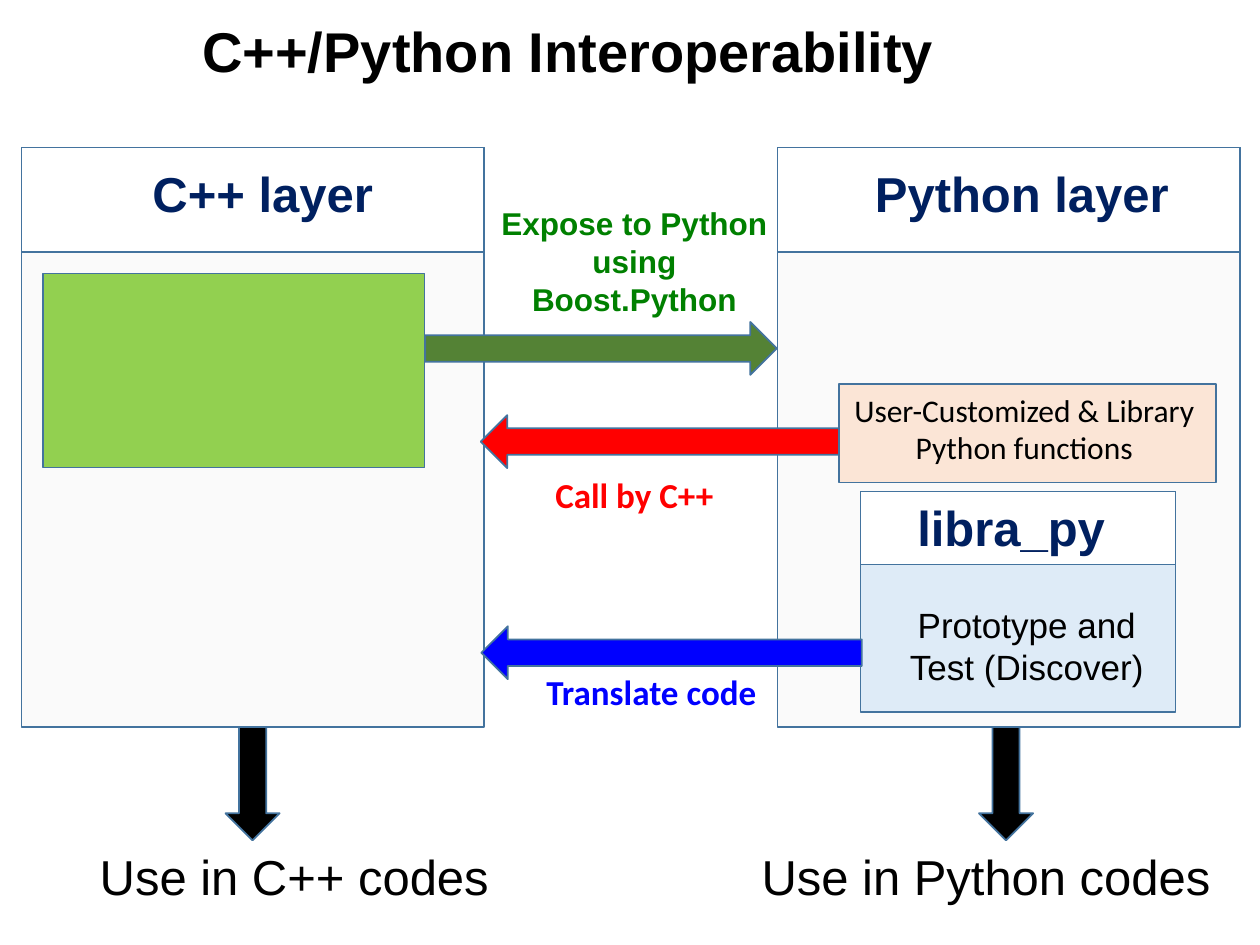
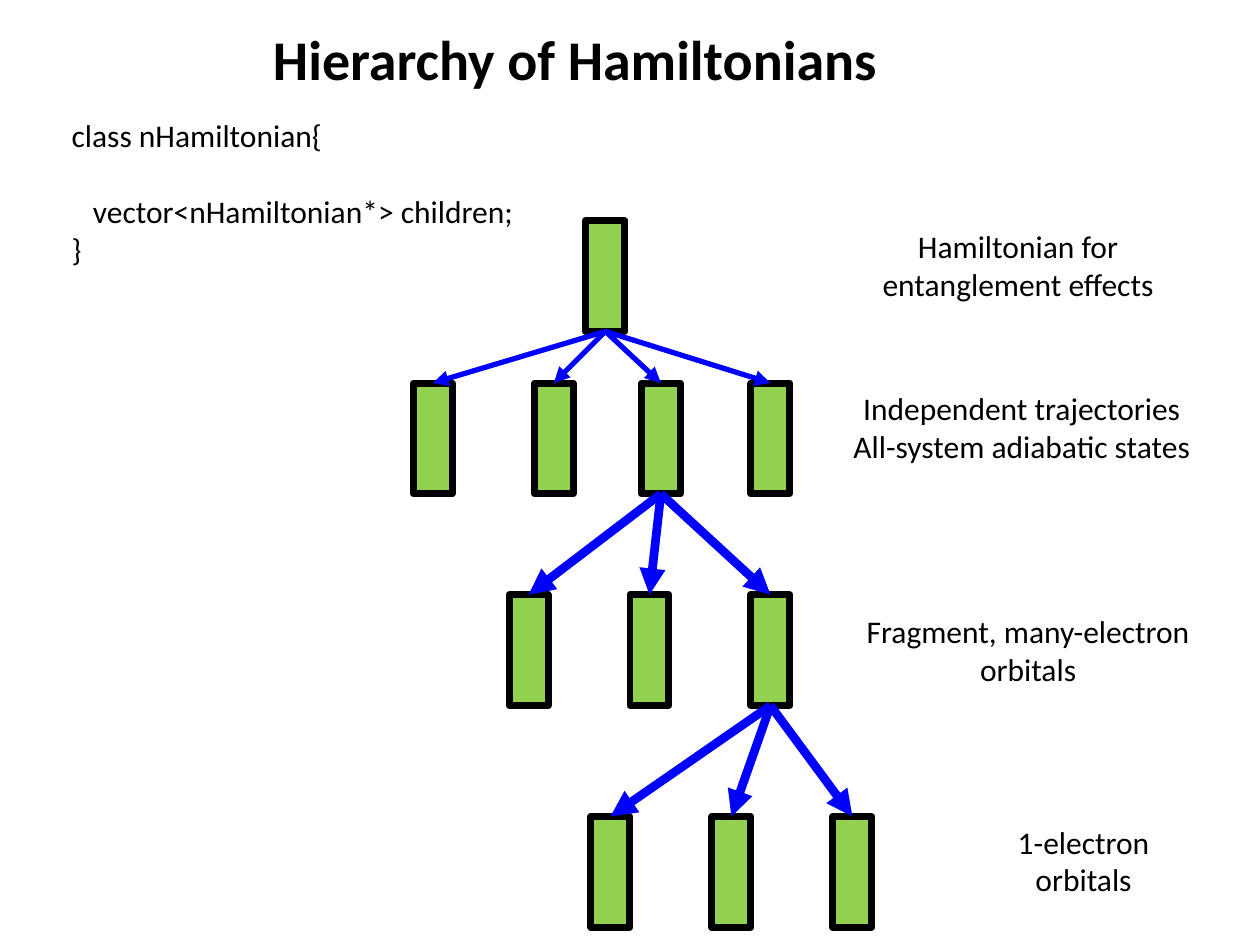
from lxml import etree
from pptx import Presentation
from pptx.dml.color import RGBColor
from pptx.enum.shapes import MSO_CONNECTOR, MSO_SHAPE
from pptx.enum.text import MSO_ANCHOR, MSO_AUTO_SIZE, PP_ALIGN
from pptx.oxml.ns import qn
from pptx.util import Inches, Pt

RECTANGLE, DOWN_ARROW = MSO_SHAPE.RECTANGLE, MSO_SHAPE.DOWN_ARROW
STRAIGHT = MSO_CONNECTOR.STRAIGHT
MIDDLE = MSO_ANCHOR.MIDDLE
FIXED, GROW = MSO_AUTO_SIZE.NONE, MSO_AUTO_SIZE.SHAPE_TO_FIT_TEXT
LEFT, CENTER = PP_ALIGN.LEFT, PP_ALIGN.CENTER
BOTTOM_SITE, TOP_SITE = 2, 0

COLORS = {
    "black": "000000", "white": "FFFFFF", "outline": "43739E",
    "panel": "FAFAFA", "navy": "002060", "lime": "92D050",
    "expose_text": "008000", "expose": "548235", "call": "FF0000",
    "translate": "0000FF", "prototype": "DEEBF7", "functions": "FBE5D6",
}

TITLE = {"size": Pt(32), "bold": True}
HEADING = {"name": "Arial", "size": Pt(28), "bold": True}
USAGE = {"name": "Arial", "size": Pt(28)}
EXPOSE = {"name": "Arial", "size": Pt(18), "bold": True}
PROTOTYPE = {"name": "Arial", "size": Pt(20)}
FLOW = {"name": "Calibri", "size": Pt(20), "bold": True}
BODY = {"name": "Calibri", "size": Pt(18)}

NODE_SIZE = (0.31, 0.88)


def rgb(color):
    return RGBColor.from_string(COLORS[color])


def inches(frame):
    return [Inches(length) for length in frame]


def write(text_frame, lines, style, color="black", align=CENTER):
    """Fill a text frame with one formatted paragraph per line."""
    for index, line in enumerate(lines):
        paragraph = text_frame.paragraphs[0] if index == 0 else text_frame.add_paragraph()
        paragraph.alignment = align
        run = paragraph.add_run()
        run.text = line
        for attribute, value in style.items():
            setattr(run.font, attribute, value)
        run.font.color.rgb = rgb(color)


def add_titled_slide(prs, title_text, frame, font_name):
    slide = prs.slides.add_slide(prs.slide_layouts[5])
    title = slide.shapes.title
    title.left, title.top, title.width, title.height = inches(frame)
    title.text_frame.auto_size = FIXED
    title.text_frame.vertical_anchor = MIDDLE
    write(title.text_frame, [title_text], {**TITLE, "name": font_name})
    return slide


def add_label(slide, frame, lines, style, color="black", align=CENTER):
    text_frame = slide.shapes.add_textbox(*inches(frame)).text_frame
    text_frame.word_wrap = False
    text_frame.auto_size = GROW
    write(text_frame, lines, style, color, align)
    return text_frame


def add_filled(slide, preset, frame, fill, line="outline", width=1, rotation=0):
    shape = slide.shapes.add_shape(preset, *inches(frame))
    shape.shadow.inherit = False
    shape.fill.solid()
    shape.fill.fore_color.rgb = rgb(fill)
    shape.line.color.rgb = rgb(line)
    shape.line.width = Pt(width)
    shape.rotation = rotation
    return shape


def add_panel(slide, frame, header_height, fill):
    """Draw a body box with a white header across its top."""
    left, top, width, _ = frame
    add_filled(slide, RECTANGLE, frame, fill)
    add_filled(slide, RECTANGLE, (left, top, width, header_height), "white")


def add_node(slide, left, top):
    return add_filled(slide, RECTANGLE, (left, top, *NODE_SIZE), "lime", "black", 4)


def add_branch(slide, parent, child, width):
    """Join a parent node to a child node with an arrow."""
    branch = slide.shapes.add_connector(STRAIGHT, 0, 0, 0, 0)
    branch.begin_connect(parent, BOTTOM_SITE)
    branch.end_connect(child, TOP_SITE)
    branch.line.color.rgb = rgb("translate")
    branch.line.width = Pt(width)
    tail = etree.SubElement(branch.line._get_or_add_ln(), qn("a:tailEnd"))
    tail.set("type", "triangle")
    etree.SubElement(branch._element.spPr, qn("a:effectLst"))


def build_interoperability(prs):
    slide = add_titled_slide(prs, "C++/Python Interoperability",
                             (1.48, 0.08, 6.06, 0.64), "Arial")
    for layer_left, arrow_left in ((0.17, 1.79), (6.17, 7.77)):
        add_panel(slide, (layer_left, 1.17, 3.67, 4.6), 0.83, "panel")
        add_filled(slide, DOWN_ARROW, (arrow_left, 5.77, 0.43, 0.9), "black")
    add_filled(slide, RECTANGLE, (0.34, 2.17, 3.03, 1.54), "lime")
    add_panel(slide, (6.83, 3.9, 2.5, 1.75), 0.58, "prototype")

    flows = [
        ((4.56, 1.37, 0.42, 2.79), "expose", 270),
        ((5.03, 2.08, 0.42, 2.85), "call", 90),
        ((5.12, 3.67, 0.42, 3.02), "translate", 90),
    ]
    for frame, color, rotation in flows:
        add_filled(slide, DOWN_ARROW, frame, color, rotation=rotation)
    add_filled(slide, RECTANGLE, (6.66, 3.05, 2.99, 0.78), "functions")

    labels = [
        ((0.92, 1.25, 2.33, 0.57), ["C++ layer"], HEADING, "navy"),
        ((6.83, 1.25, 2.56, 0.57), ["Python layer"], HEADING, "navy"),
        ((7.17, 3.9, 1.71, 0.57), ["libra_py"], HEADING, "navy"),
        ((0.67, 6.67, 3.33, 0.57), ["Use in C++ codes"], USAGE, "black"),
        ((5.92, 6.67, 3.81, 0.57), ["Use in Python codes"], USAGE, "black"),
        ((3.87, 1.57, 2.33, 1.01), ["Expose to Python", "using", "Boost.Python"],
         EXPOSE, "expose_text"),
        ((4.3, 3.71, 1.47, 0.44), ["Call by C++"], FLOW, "call"),
        ((4.23, 5.27, 1.88, 0.44), ["Translate code"], FLOW, "translate"),
        ((7.08, 4.74, 2.14, 0.77), ["Prototype and", "Test (Discover)"],
         PROTOTYPE, "black"),
        ((6.66, 3.05, 2.94, 0.71), ["User-Customized & Library", "Python functions"],
         BODY, "black"),
    ]
    for label in labels:
        add_label(slide, *label)


def build_hierarchy(prs):
    slide = add_titled_slide(prs, "Hierarchy of Hamiltonians",
                             (1.17, 0.14, 6.79, 0.64), "Calibri")
    code = add_label(slide, (0.47, 0.87, 3.75, 1.31),
                     ["class nHamiltonian{", "   vector<nHamiltonian*> children;", "}"],
                     BODY, align=LEFT)
    code.paragraphs[1].space_before = Pt(22)

    # Each level: top, node lefts, index of the node that branches, arrow width
    levels = [
        (3.04, [3.28, 4.24, 5.09, 5.96], 2, 3),
        (4.72, [4.04 + 0.96 * i for i in range(3)], 2, 5),
        (6.48, [4.69 + 0.96 * i for i in range(3)], 0, 5),
    ]
    parent = add_node(slide, 4.65, 1.75)
    for top, lefts, branching, width in levels:
        nodes = [add_node(slide, left, top) for left in lefts]
        for node in nodes:
            add_branch(slide, parent, node, width)
        parent = nodes[branching]

    descriptions = [
        ((6.89, 1.75, 2.38, 0.71), ["Hamiltonian for", "entanglement effects"]),
        ((6.66, 3.04, 2.9, 0.71), ["Independent trajectories", "All-system adiabatic states"]),
        ((6.76, 4.81, 2.8, 0.71), ["Fragment, many-electron", "orbitals"]),
        ((7.97, 6.48, 1.26, 0.71), ["1-electron", "orbitals"]),
    ]
    for frame, lines in descriptions:
        add_label(slide, frame, lines, BODY)


def main():
    prs = Presentation()
    prs.slide_width, prs.slide_height = inches((10, 7.5))
    build_interoperability(prs)
    build_hierarchy(prs)
    prs.save("out.pptx")


if __name__ == "__main__":
    main()
